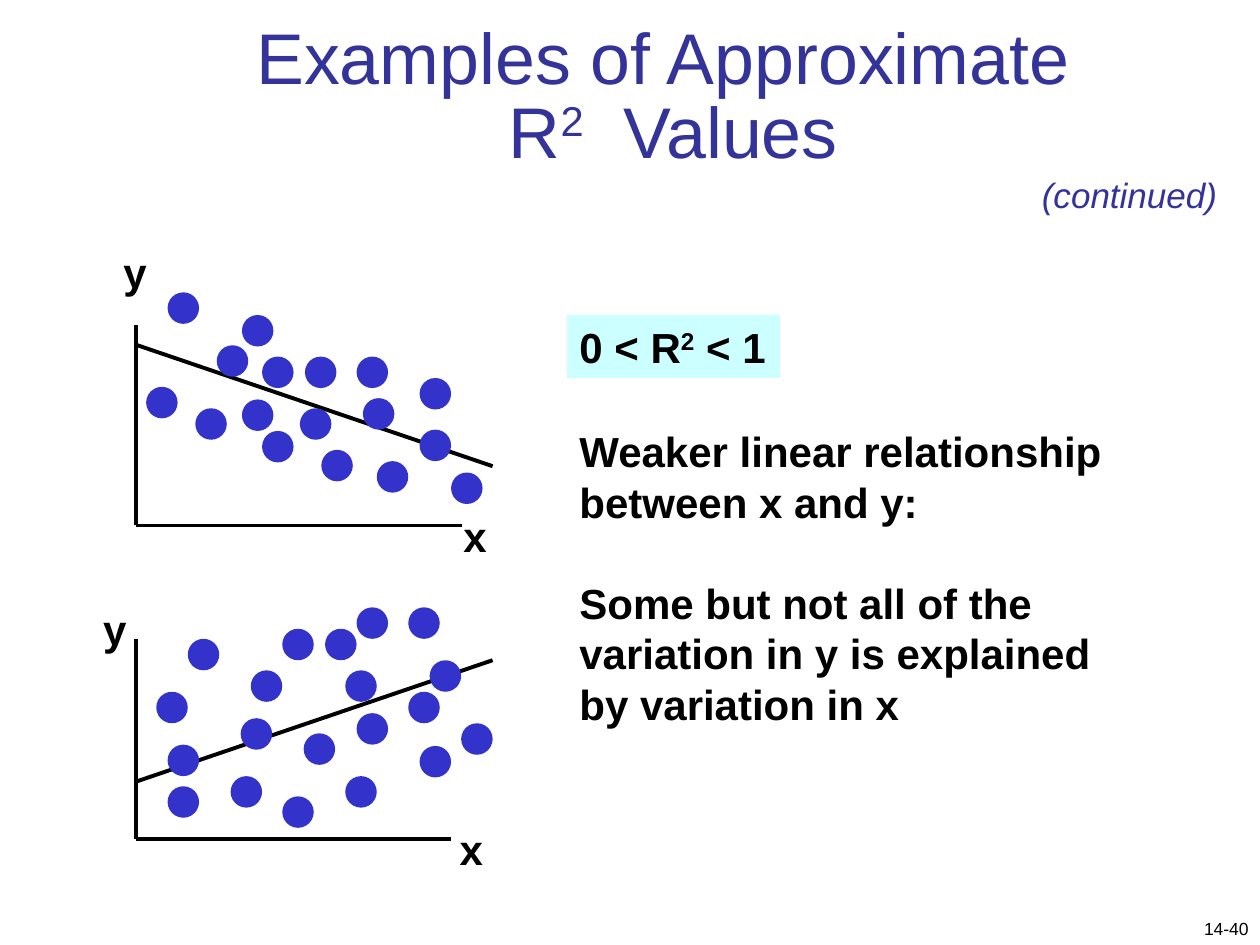
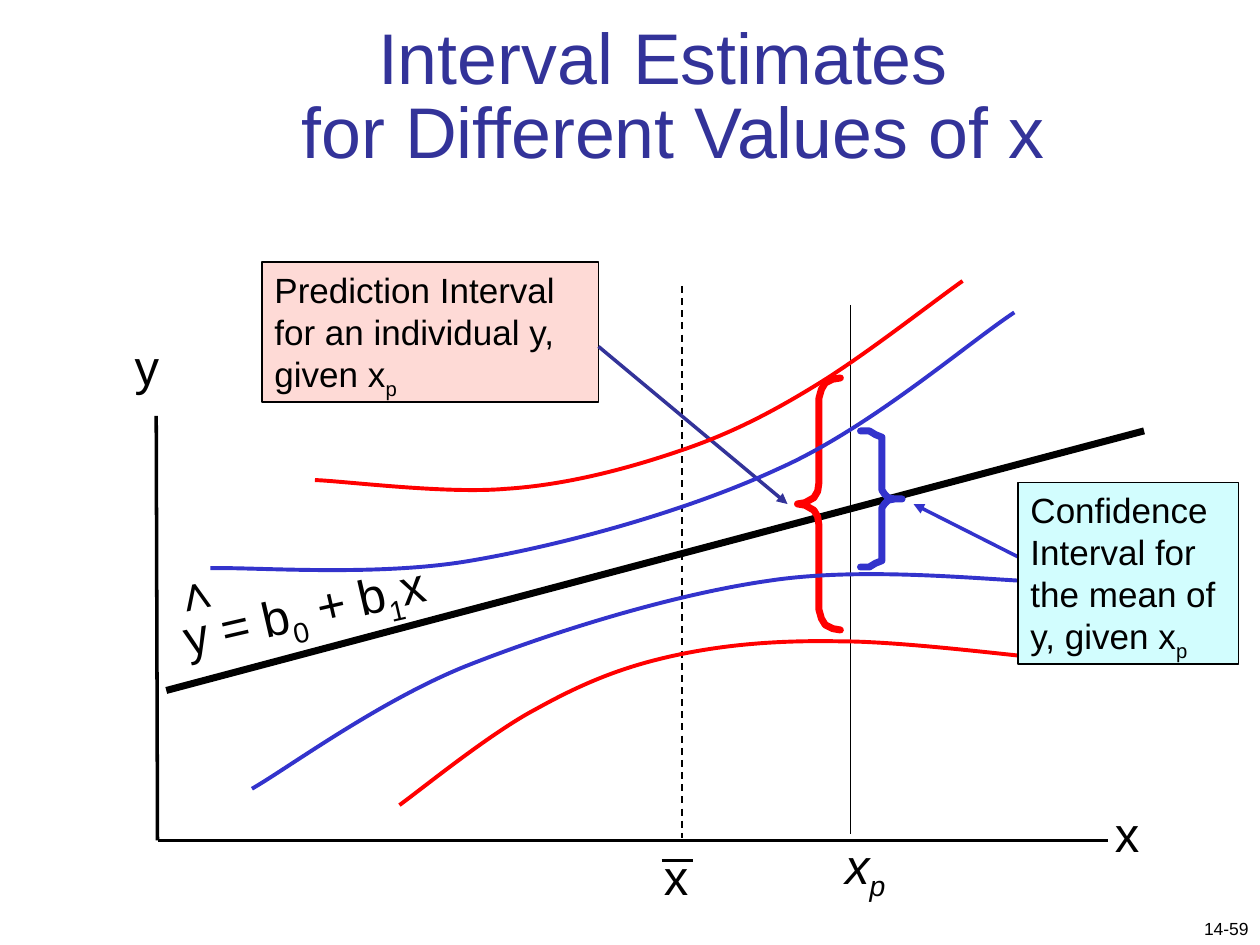
from lxml import etree
from pptx import Presentation
from pptx.dml.color import RGBColor
from pptx.enum.dml import MSO_LINE
from pptx.enum.shapes import MSO_CONNECTOR, MSO_SHAPE
from pptx.enum.text import MSO_ANCHOR, MSO_AUTO_SIZE, PP_ALIGN
from pptx.oxml.ns import qn
from pptx.util import Emu, Pt

# Shared look; lengths are px, 100 to the inch
EMU_PER_PX = 9144
SLIDE_SIZE = (1000, 750)
FONT = "Arial"
BLACK, NAVY, BLUE, RED = "000000", "333399", "3333CC", "FF0000"
AQUA, PALE_AQUA, PINK = "CCFFFF", "D2FDFE", "FEDAD6"
PAGE_BOX = (792, 716, 208, 34)
TITLE_LEFT, TITLE_WIDTH, TITLE_BOTTOM = 108, 853, 142
SUPER, SUB = {"baseline": 30000}, {"baseline": -25000}
DOT_SIZE = 25

# Slide 1: scatter plots, with dots given by their top left corners
R2_TITLE = [("Examples of Approximate ", {}), ("\n", {}), ("R", {}),
            ("2", SUPER), (" ", {"spc": 1140}), ("Values", {})]
SCATTERS = [
    {"origin": (108, 417), "top": 258, "right": 367,
     "trend": ((391, 370), (109, 274)),
     "labels": [("y", 88, 191), ("x", 358, 400)],
     "dots": [(358, 375), (333, 341), (133, 232), (172, 274), (299, 366),
              (116, 307), (255, 357), (192, 250), (283, 283), (333, 300),
              (155, 324), (242, 283), (192, 317), (238, 324), (288, 316),
              (208, 283), (208, 342)]},
    {"origin": (108, 666), "top": 507, "right": 358,
     "trend": ((109, 620), (391, 524)),
     "labels": [("y", 72, 474), ("x", 355, 649)],
     "dots": [(133, 624), (133, 591), (324, 482), (341, 524), (183, 616),
              (324, 549), (274, 616), (283, 482), (224, 499), (124, 549),
              (149, 507), (191, 570), (283, 566), (241, 582), (224, 632),
              (366, 574), (274, 532), (258, 499), (199, 532), (333, 592)]},
]
R2_RANGE = [("0 < R", {}), ("2", SUPER), (" < 1", {})]
EXPLANATION = [
    [("Weaker linear relationship between x and y:", {})],
    [("Some but not all of the variation in y is explained by variation in x", {})],
]

# Slide 2: regression line with its interval bands
INTERVAL_TITLE = [("Interval Estimates ", {}), ("\n", {}),
                  ("for Different Values of x", {})]
# start, end, colour, width, dash
PLOT_LINES = [
    ((124, 330), (125, 667), BLACK, 2, None),
    ((125, 667), (879, 667), BLACK, 2, None),
    ((132, 548), (908, 342), BLACK, 4, None),
    ((541, 227), (541, 665), BLACK, 1, MSO_LINE.DASH),
    ((675, 242), (675, 662), BLACK, 1, None),
    ((525, 683), (550, 683), BLACK, 1.5, None),
]
# box, runs, rotation, style
PLOT_LABELS = [
    ((97, 262, 101, 56), [("y", {})], 0, {}),
    ((875, 633, 101, 56), [("x", {})], 0, {}),
    ((517, 667, 101, 56), [("x", {})], 0, {}),
    ((661, 658, 65, 56), [("x", {}), ("p", SUB)], 0, {"italic": True}),
    ((133, 450, 266, 56),
     [("y = b", {}), ("0", SUB), (" + b", {}), ("1", SUB), ("x", {})], 347, {}),
    ((125, 434, 116, 56), [("∧", {})], 348, {"bold": True}),
]
PREDICTION_CALLOUT = ((208, 208, 267, 111), PINK, [
    ("Prediction Interval for an individual y, given x", {}), ("p", SUB)])
CONFIDENCE_CALLOUT = ((808, 383, 175, 144), PALE_AQUA, [
    ("Confidence Interval for the mean of y, given x", {}), ("p", SUB)])
CALLOUT_ARROWS = [((475, 275), (625, 400), NAVY), ((808, 442), (725, 400), BLUE)]
# Upper half of each brace, mirrored about its middle height
BRACES = [
    (RED, 400, [(667, 300), (661, 301), (655, 304), (652, 309), (650, 316),
                (650, 383), (649, 390), (646, 395), (639, 399), (633, 400)]),
    (BLUE, 396, [(683, 342), (690, 342), (695, 345), (700, 347), (700, 351),
                 (700, 389), (702, 392), (705, 395), (710, 396), (716, 396)]),
]
# First point, then two handles and an end point for every stretch
BAND_CURVES = [
    (BLUE, [(200, 626), (228, 610), (300, 557), (369, 529), (437, 502),
            (533, 472), (610, 461), (688, 449), (788, 461), (834, 462)]),
    (RED, [(317, 639), (335, 626), (389, 582), (425, 563), (461, 543),
           (492, 530), (532, 521), (572, 512), (615, 508), (666, 509),
           (716, 509), (800, 520), (835, 523)]),
    (RED, [(250, 381), (275, 382), (353, 392), (401, 388), (449, 385),
           (498, 372), (539, 358), (581, 344), (615, 326), (652, 303),
           (689, 280), (740, 240), (764, 223)]),
    (BLUE, [(167, 451), (201, 450), (299, 458), (374, 445), (450, 432),
            (547, 405), (618, 372), (690, 340), (766, 274), (805, 248)]),
]


def px(length):
    return Emu(length * EMU_PER_PX)


def rgb(color):
    return RGBColor.from_string(color)


def fill_text(shape, paragraphs, size, color=BLACK, bold=False, italic=False,
              align=PP_ALIGN.LEFT, anchor=MSO_ANCHOR.TOP, wrap=True, inset=10,
              line_spacing=None, gap=0, grow=True):
    frame = shape.text_frame
    frame.word_wrap = wrap
    frame.auto_size = MSO_AUTO_SIZE.SHAPE_TO_FIT_TEXT if grow else MSO_AUTO_SIZE.NONE
    frame.vertical_anchor = anchor
    frame.margin_left = frame.margin_right = px(inset)
    frame.margin_top = frame.margin_bottom = px(5)
    for index, runs in enumerate(paragraphs):
        paragraph = frame.add_paragraph() if index else frame.paragraphs[0]
        paragraph.alignment = align
        if line_spacing:
            paragraph.line_spacing = line_spacing
        if index:
            paragraph.space_before = Pt(gap)
        for text, attributes in runs:
            if text == "\n":
                paragraph.add_line_break()
                continue
            run = paragraph.add_run()
            run.text = text
            run.font.name, run.font.size = FONT, Pt(size)
            run.font.bold, run.font.italic = bold, italic
            run.font.color.rgb = rgb(color)
            for name, value in attributes.items():
                run._r.get_or_add_rPr().set(name, str(value))


def add_text(slide, box, paragraphs, size, rotation=0, **style):
    shape = slide.shapes.add_textbox(*map(px, box))
    shape.rotation = rotation
    fill_text(shape, paragraphs, size, **style)


def add_filled(slide, kind, box, fill, outline=None):
    shape = slide.shapes.add_shape(kind, *map(px, box))
    shape.shadow.inherit = False
    shape.fill.solid()
    shape.fill.fore_color.rgb = rgb(fill)
    if outline:
        shape.line.color.rgb = rgb(outline)
        shape.line.width = Pt(1)
    else:
        shape.line.fill.background()
    return shape


def add_line(slide, start, end, color=BLACK, width=2, dash=None, arrow=False):
    connector = slide.shapes.add_connector(
        MSO_CONNECTOR.STRAIGHT, *map(px, start + end))
    connector.line.color.rgb = rgb(color)
    connector.line.width = Pt(width)
    if dash:
        connector.line.dash_style = dash
    properties = connector._element.spPr
    if arrow:
        etree.SubElement(properties.find(qn("a:ln")), qn("a:tailEnd"), type="triangle")
    etree.SubElement(properties, qn("a:effectLst"))


def add_outline(slide, points, color, width):
    builder = slide.shapes.build_freeform(*points[0], scale=EMU_PER_PX)
    builder.add_line_segments(points[1:], close=False)
    shape = builder.convert_to_shape()
    shape.shadow.inherit = False
    shape.fill.background()
    shape.line.color.rgb = rgb(color)
    shape.line.width = Pt(width)
    return shape


def add_brace(slide, color, middle, half):
    mirrored = [(x, 2 * middle - y) for x, y in reversed(half[:-1])]
    brace = add_outline(slide, half + mirrored, color, 4)
    line = brace._element.spPr.find(qn("a:ln"))
    line.set("cap", "rnd")
    etree.SubElement(line, qn("a:round"))


def add_curve(slide, color, nodes):
    curve = add_outline(slide, nodes, color, 2.25)
    # Every three straight segments become one Bezier stretch
    segments = list(curve._element.iter(qn("a:lnTo")))
    for index in range(0, len(segments), 3):
        stretch = etree.Element(qn("a:cubicBezTo"))
        segments[index].addprevious(stretch)
        for segment in segments[index:index + 3]:
            stretch.append(segment[0])
            segment.getparent().remove(segment)


def add_base_slide(presentation, title, title_top, page):
    slide = presentation.slides.add_slide(presentation.slide_layouts[6])
    fixed = {"anchor": MSO_ANCHOR.BOTTOM, "inset": 9, "grow": False}
    add_text(slide, PAGE_BOX, [[(page, {})]], 10, align=PP_ALIGN.RIGHT, **fixed)
    title_box = (TITLE_LEFT, title_top, TITLE_WIDTH, TITLE_BOTTOM - title_top)
    add_text(slide, title_box, [title], 41, color=NAVY, align=PP_ALIGN.CENTER,
             line_spacing=0.85, **fixed)
    return slide


def add_scatter(slide, scatter):
    left, bottom = scatter["origin"]
    add_line(slide, (left, scatter["top"]), (left, bottom))
    add_line(slide, (left, bottom), (scatter["right"], bottom))
    add_line(slide, *scatter["trend"], width=2.25)
    for x, y in scatter["dots"]:
        add_filled(slide, MSO_SHAPE.OVAL, (x, y, DOT_SIZE, DOT_SIZE), BLUE)
    for letter, x, y in scatter["labels"]:
        add_text(slide, (x, y, 39, 50), [[(letter, {})]], 24, bold=True, wrap=False)


def add_callout(slide, box, fill, runs):
    fill_text(add_filled(slide, MSO_SHAPE.RECTANGLE, box, fill, BLACK), [runs], 20)


def build_r2_slide(presentation):
    slide = add_base_slide(presentation, R2_TITLE, 33, "14-40")
    for scatter in SCATTERS:
        add_scatter(slide, scatter)
    range_box = add_filled(slide, MSO_SHAPE.RECTANGLE, (450, 250, 169, 50), AQUA)
    fill_text(range_box, [R2_RANGE], 24, bold=True, wrap=False)
    add_text(slide, (450, 333, 458, 250), EXPLANATION, 24, bold=True, gap=29)
    add_text(slide, (817, 133, 161, 43), [[("(continued)", {})]], 20,
             color=NAVY, italic=True, wrap=False)


def build_interval_slide(presentation):
    slide = add_base_slide(presentation, INTERVAL_TITLE, 17, "14-59")
    for line in PLOT_LINES:
        add_line(slide, *line)
    for box, runs, rotation, style in PLOT_LABELS:
        add_text(slide, box, [runs], 28, rotation, **style)
    add_callout(slide, *PREDICTION_CALLOUT)
    for brace in BRACES:
        add_brace(slide, *brace)
    for start, end, color in CALLOUT_ARROWS:
        add_line(slide, start, end, color, arrow=True)
    for curve in BAND_CURVES:
        add_curve(slide, *curve)
    # The callout covers the ends of the lower bands
    add_callout(slide, *CONFIDENCE_CALLOUT)


def main():
    presentation = Presentation()
    presentation.slide_width, presentation.slide_height = map(px, SLIDE_SIZE)
    build_r2_slide(presentation)
    build_interval_slide(presentation)
    presentation.save("out.pptx")


if __name__ == "__main__":
    main()
